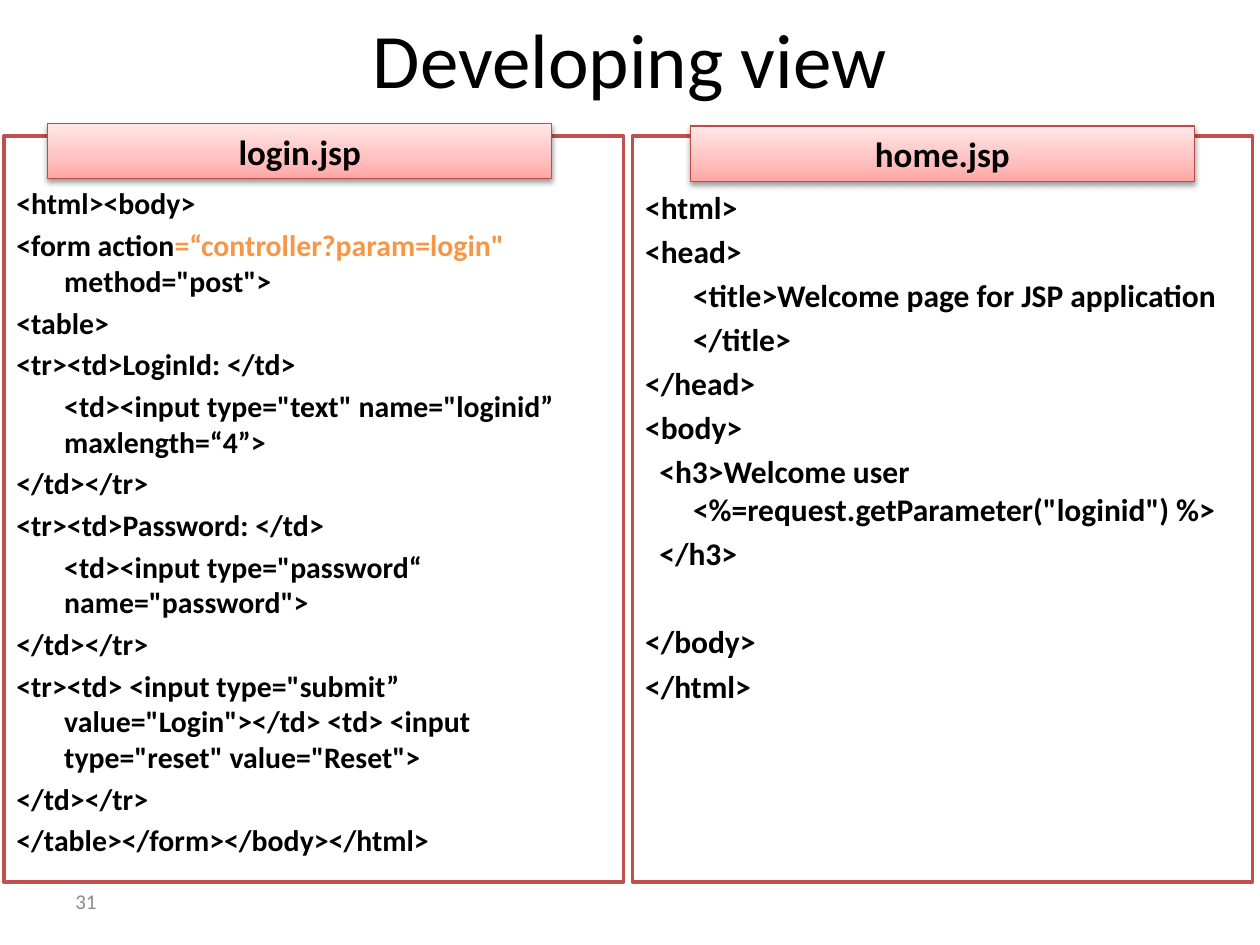
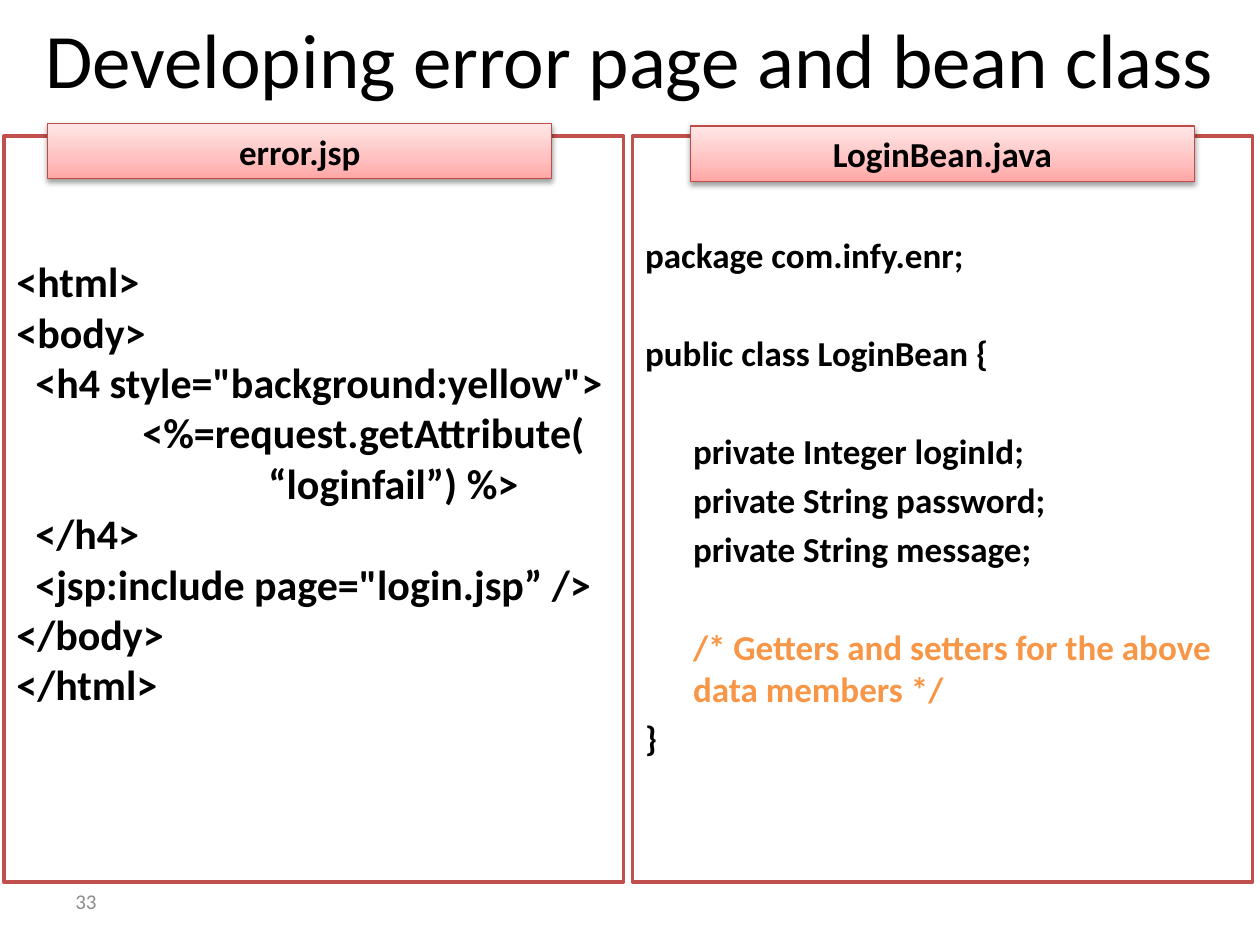
import pptx
import pptx.dml.color
import pptx.enum.dml
import pptx.enum.shapes
import pptx.enum.text
import pptx.oxml.ns
import pptx.util
from lxml import etree

Inches, Pt, qn = pptx.util.Inches, pptx.util.Pt, pptx.oxml.ns.qn
ALIGN = pptx.enum.text.PP_ALIGN
MIDDLE = pptx.enum.text.MSO_ANCHOR.MIDDLE

FONT = "Calibri"
BLACK, WHITE, GREY = "000000", "FFFFFF", "8C8C8C"
RED, LABEL_RED, ORANGE = "C0504D", "BF4C48", "F79646"
LABEL_GRADIENT = ((0, "FFA6A5"), (35, "FFC0BF"), (100, "FFE7E7"))
TWO_CONTENT = 3

# left, top, width, height of each code panel, and its label's offset
PANELS = (
    ((0.03, 1.08, 4.92, 5.92), (0.35, -0.1)),
    ((5.02, 1.08, 4.92, 5.92), (0.46, -0.08)),
)
LABEL_SIZE = (4, 0.44)
HANGING = 0.38
GAP = 0.2          # space between paragraphs, as a share of the text size
BLANK_LINE = 1.4   # height of a skipped line, as a share of the text size

# Empty strings are skipped lines; leading tabs are indents.
LOGIN_JSP = (
    "<html><body>",
    (("<form action", BLACK), ("=“controller?param=login\" ", ORANGE),
     ("method=\"post\">", BLACK)),
    "<table>",
    "<tr><td>LoginId: </td>",
    "\t<td><input type=\"text\" name=\"loginid” maxlength=“4”>",
    "</td></tr>",
    "<tr><td>Password: </td>",
    "\t<td><input type=\"password“ name=\"password\">",
    "</td></tr>",
    "<tr><td> <input type=\"submit” value=\"Login\"></td> <td> "
    "<input type=\"reset\" value=\"Reset\">",
    "</td></tr>",
    "</table></form></body></html>",
)
HOME_JSP = (
    "<html>",
    "<head>",
    "\t<title>Welcome page for JSP application",
    "\t</title>",
    "</head>",
    "<body>",
    "  <h3>Welcome user <%=request.getParameter(\"loginid\") %>",
    "  </h3>",
    "",
    "</body>",
    "</html>",
)
ERROR_JSP = (
    "<html>",
    "<body>",
    "  <h4 style=\"background:yellow\">",
    "\t<%=request.getAttribute(",
    "\t\t“loginfail”) %>",
    "  </h4>",
    "  <jsp:include page=\"login.jsp” />",
    "</body>",
    "</html>",
)
LOGIN_BEAN = (
    "package com.infy.enr;",
    "",
    "public class LoginBean {",
    "",
    "\tprivate Integer loginId;",
    "\tprivate String password;",
    "\tprivate String message;",
    "",
    (("\t/* Getters and setters for the above data members */", ORANGE),),
    "}",
)

# number, title, then per panel: label, text size, top inset, hanging, code
SLIDES = (
    ("31", "Developing view",
     (("login.jsp", 17, 0.39, True, LOGIN_JSP),
      ("home.jsp", 18, 0.41, True, HOME_JSP))),
    ("33", "Developing error page and bean class",
     (("error.jsp", 24, 0.95, False, ERROR_JSP),
      ("LoginBean.java", 20, 0.77, True, LOGIN_BEAN))),
)


def colour(code):
    return pptx.dml.color.RGBColor.from_string(code)


def place(shape, box):
    shape.left, shape.top, shape.width, shape.height = map(Inches, box)


def add_span(para, text, size, code=BLACK, bold=False):
    span = para.add_run()
    span.text = text
    span.font.name = FONT
    span.font.size = Pt(size)
    span.font.bold = bold
    span.font.color.rgb = colour(code)


def set_outline(shape, code, width):
    shape.line.color.rgb = colour(code)
    shape.line.width = Pt(width)


def set_indent(para, tabs, hanging):
    """Turn leading tabs into a margin and switch the bullet off."""
    properties = para._p.get_or_add_pPr()
    margin = HANGING if hanging else tabs
    first = -HANGING if hanging and not tabs else 0
    properties.set("marL", str(Inches(margin)))
    properties.set("indent", str(Inches(first)))
    etree.SubElement(properties, qn("a:buNone"))


def fill_code(frame, lines, size, hanging):
    blanks = 0
    started = False
    for line in lines:
        if not line:
            blanks += 1
            continue
        spans = ((line, BLACK),) if isinstance(line, str) else line
        para = frame.add_paragraph() if started else frame.paragraphs[0]
        tabs = spans[0][0].count("\t")
        set_indent(para, tabs, hanging)
        para.alignment = ALIGN.LEFT if hanging else ALIGN.JUSTIFY
        gap = (GAP if hanging else 0) + BLANK_LINE * blanks
        para.space_before = Pt(round(gap * size, 1) if started else 0)
        for text, code in spans:
            add_span(para, text.lstrip("\t"), size, code, bold=True)
        blanks, started = 0, True


def add_label(page, text, left, top):
    label = page.shapes.add_shape(
        pptx.enum.shapes.MSO_SHAPE.RECTANGLE,
        *map(Inches, (left, top, *LABEL_SIZE)))
    label.fill.gradient()
    label.fill.gradient_angle = 90
    set_outline(label, LABEL_RED, 0.75)
    label.shadow.inherit = False
    properties = label._element.spPr

    stops = properties.find(".//" + qn("a:gsLst"))
    for stop in list(stops):
        stops.remove(stop)
    for percent, code in LABEL_GRADIENT:
        stop = etree.SubElement(stops, qn("a:gs"), pos=str(percent * 1000))
        etree.SubElement(stop, qn("a:srgbClr"), val=code)

    shadow = etree.SubElement(
        properties.find(qn("a:effectLst")), qn("a:outerShdw"),
        blurRad=str(Pt(3.1)), dist=str(Pt(1.6)), dir="5400000", rotWithShape="0")
    shade = etree.SubElement(shadow, qn("a:srgbClr"), val=BLACK)
    etree.SubElement(shade, qn("a:alpha"), val="38000")

    frame = label.text_frame
    frame.word_wrap = True
    frame.vertical_anchor = MIDDLE
    para = frame.paragraphs[0]
    para.alignment = ALIGN.CENTER
    add_span(para, text, 20, bold=True)


def fill_panel(body, box, size, inset, hanging, lines):
    place(body, box)
    body.fill.solid()
    body.fill.fore_color.rgb = colour(WHITE)
    set_outline(body, RED, 2)
    frame = body.text_frame
    frame.word_wrap = True
    frame.auto_size = pptx.enum.text.MSO_AUTO_SIZE.NONE
    frame.vertical_anchor = pptx.enum.text.MSO_ANCHOR.TOP
    frame.margin_top = Inches(inset)
    fill_code(frame, lines, size, hanging)


def fill_title(title, text):
    place(title, (0, 0, 10, 0.92))
    frame = title.text_frame
    frame.auto_size = pptx.enum.text.MSO_AUTO_SIZE.NONE
    frame.vertical_anchor = MIDDLE
    para = frame.paragraphs[0]
    para.alignment = ALIGN.CENTER
    add_span(para, text, 44)


def add_page_number(page, number):
    box = page.shapes.add_textbox(*map(Inches, (0.5, 6.95, 2.33, 0.4)))
    box.text_frame.word_wrap = True
    box.text_frame.vertical_anchor = MIDDLE
    add_span(box.text_frame.paragraphs[0], number, 12, GREY)


def add_code_slide(deck, number, title, panels):
    page = deck.slides.add_slide(deck.slide_layouts[TWO_CONTENT])
    fill_title(page.shapes.title, title)
    for index, (box, _) in enumerate(PANELS):
        fill_panel(page.placeholders[index + 1], box, *panels[index][1:])
    for (box, offset), panel in zip(PANELS, panels):
        add_label(page, panel[0], box[0] + offset[0], box[1] + offset[1])
    add_page_number(page, number)


def main():
    deck = pptx.Presentation()
    deck.slide_width, deck.slide_height = Inches(10), Inches(7.5)
    for slide in SLIDES:
        add_code_slide(deck, *slide)
    deck.save("out.pptx")


if __name__ == "__main__":
    main()
